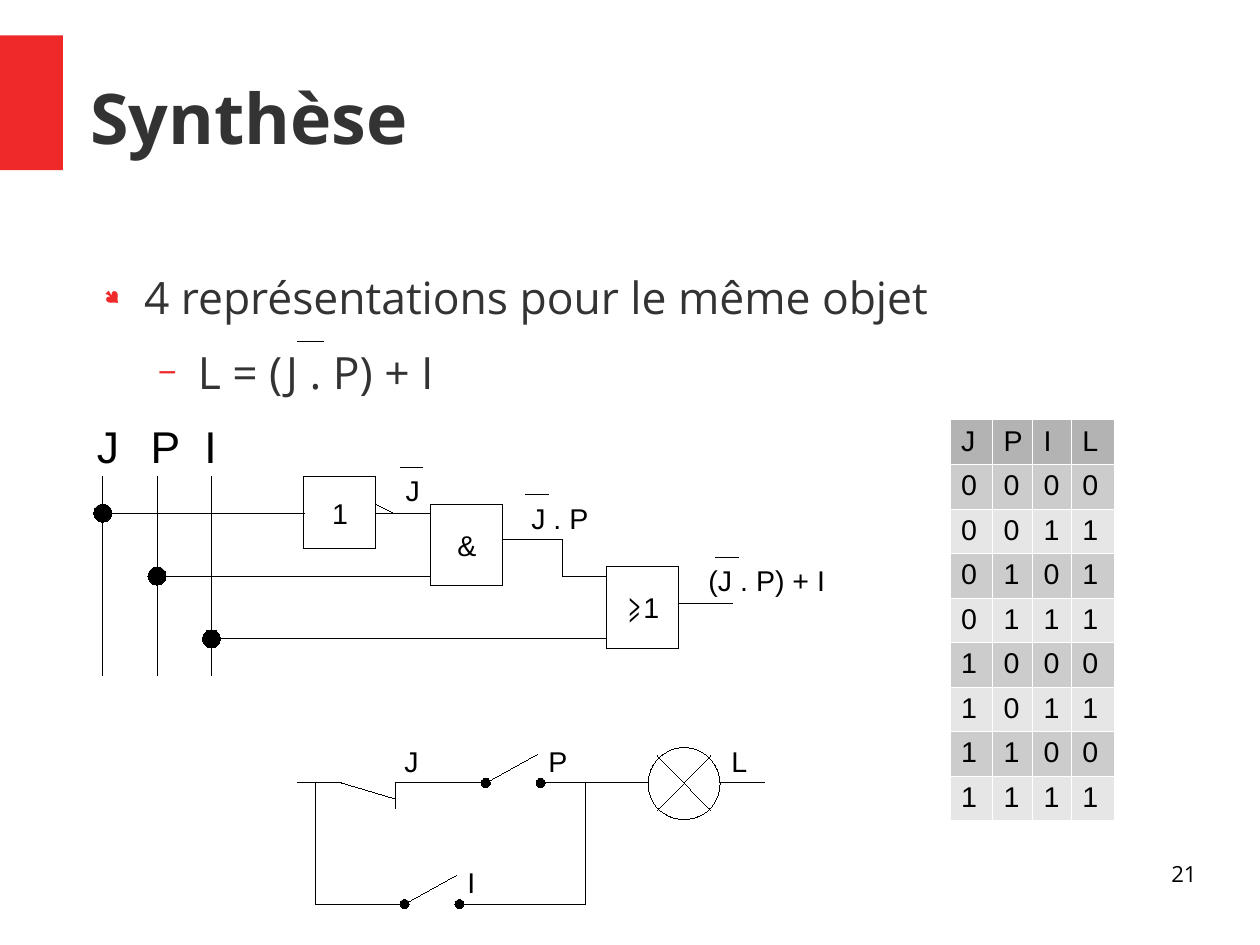
import pptx
import pptx.util
import pptx.dml.color
import pptx.enum.shapes
import pptx.enum.text
import pptx.oxml
import pptx.oxml.ns
import lxml.etree as etree

Inches = pptx.util.Inches
Pt = pptx.util.Pt
SHAPE = pptx.enum.shapes.MSO_SHAPE
ALIGN = pptx.enum.text.PP_ALIGN
ANCHOR = pptx.enum.text.MSO_ANCHOR
qn = pptx.oxml.ns.qn
BLACK, RED, GREY, WHITE = "000000", "EF2929", "333333", "FFFFFF"
HEAD, ODD, EVEN = "B3B3B3", "CCCCCC", "E6E6E6"


def paint(part, color):
    """Give a fill, line or font its colour."""
    fill = part if hasattr(part, "solid") else part.fill
    fill.solid()
    fill.fore_color.rgb = pptx.dml.color.RGBColor.from_string(color)


def hair(item, color):
    """Draw the line of a shape or connector as a hairline."""
    paint(item.line, color)
    item._element.spPr.find(qn("a:ln")).set("w", "0")


def write(para, text, size, font="Arial", color=BLACK, bold=False):
    run = para.add_run()
    run.text = text
    run.font.name = font
    run.font.size = Pt(size)
    run.font.bold = bold
    paint(run.font, color)


def inset(frame, side=0, top=0, low=0):
    frame.margin_left = frame.margin_right = Inches(side)
    frame.margin_top = Inches(top)
    frame.margin_bottom = Inches(low)


def label(slide, x, y, w, text, size=18, h=0.38):
    frame = slide.shapes.add_textbox(*map(Inches, (x, y, w, h))).text_frame
    frame.word_wrap = False
    inset(frame, 0.1, 0.05, 0.05)
    write(frame.paragraphs[0], text, size)


def wire(slide, x, y, *points):
    """Join points, given from the corner x, y, by straight lines."""
    for (ax, ay), (bx, by) in zip(points, points[1:]):
        line = slide.shapes.add_connector(
            pptx.enum.shapes.MSO_CONNECTOR.STRAIGHT,
            Inches(x + ax), Inches(y + ay), Inches(x + bx), Inches(y + by))
        hair(line, BLACK)
        etree.SubElement(line._element.spPr, qn("a:effectLst"))


def shape(slide, kind, x, y, w, h, fill=None):
    item = slide.shapes.add_shape(kind, *map(Inches, (x, y, w, h)))
    item.shadow.inherit = False
    hair(item, fill or BLACK)
    if fill:
        paint(item.fill, fill)
    else:
        item.fill.background()
    return item


def dot(slide, x, y, size):
    shape(slide, SHAPE.OVAL, x - size / 2, y - size / 2, size, size, BLACK)


def gate(slide, x, y, h, sign):
    frame = shape(slide, SHAPE.RECTANGLE, x, y, 0.63, h).text_frame
    frame.word_wrap = False
    frame.vertical_anchor = ANCHOR.MIDDLE
    frame.paragraphs[0].alignment = ALIGN.CENTER
    write(frame.paragraphs[0], sign, 18)


def title(slide, x, y, w, h):
    bar = shape(slide, SHAPE.RECTANGLE, 0, y - 0.02, 0.55, 1.18, RED)
    bar.line.fill.background()
    head = slide.shapes.title
    head.left, head.top, head.width, head.height = map(Inches, (x, y, w, h))
    frame = head.text_frame
    inset(frame)
    frame.vertical_anchor = ANCHOR.MIDDLE
    frame.paragraphs[0].alignment = ALIGN.LEFT
    write(frame.paragraphs[0], "Synthèse", 44, "Open Sans", GREY, True)


def bullet(para, left, sign, size, font):
    props = para._p.get_or_add_pPr()
    props.set("marL", str(Inches(left)))
    props.set("indent", str(Inches(-0.35)))
    color = etree.SubElement(props, qn("a:buClr"))
    etree.SubElement(color, qn("a:srgbClr"), val=RED)
    etree.SubElement(props, qn("a:buSzPct"), val=str(size * 1000))
    etree.SubElement(props, qn("a:buFont"), typeface=font)
    etree.SubElement(props, qn("a:buChar"), char=sign)


def points(slide, x, y, w, h):
    frame = slide.shapes.add_textbox(*map(Inches, (x, y, w, h))).text_frame
    frame.word_wrap = True
    inset(frame)
    first, second = frame.paragraphs[0], frame.add_paragraph()
    first.space_after, second.space_after = Pt(14.1), Pt(11.3)
    second.level = 1
    bullet(first, 0.47, "●", 45, "Wingdings")
    bullet(second, 0.94, "−", 75, "Open Sans")
    write(first, "4 représentations pour le même objet", 28, "Open Sans", GREY)
    write(second, "L = (J . P) + I", 28, "Open Sans", GREY)
    wire(slide, x, y, (1.81, 0.63), (2.04, 0.63))


def truth(slide, x, y, w, h):
    """Table of L for every state of J, P and I."""
    rows = ["JPIL"]
    for n in range(8):
        j, p, i = n >> 2, n >> 1 & 1, n & 1
        rows.append(f"{j}{p}{i}{int(not j and p or i)}")
    table = slide.shapes.add_table(
        len(rows), 4, *map(Inches, (x, y, w, h))).table
    for col, wide in zip(table.columns, (0.37, 0.35, 0.34, 0.38)):
        col.width = Inches(wide)
    for r, row in enumerate(rows):
        table.rows[r].height = Inches(h / len(rows))
        for c, text in enumerate(row):
            cell = table.cell(r, c)
            inset(cell, 0.1, 0.05, 0.03)
            write(cell.text_frame.paragraphs[0], text, 18)
            props = cell._tc.get_or_add_tcPr()
            for side in ("lnL", "lnR", "lnT", "lnB"):
                edge = etree.SubElement(props, qn("a:" + side), w="720")
                fill = etree.SubElement(edge, qn("a:solidFill"))
                etree.SubElement(fill, qn("a:srgbClr"), val=WHITE)
            paint(cell.fill, HEAD if r == 0 else ODD if r % 2 else EVEN)


def logic(slide, x, y):
    """Gate diagram: input rails, three gates and their outputs."""
    for n, (name, end) in enumerate(zip("JPI", (1.91, 3.02, 4.56))):
        rail, tap = 0.15 + 0.475 * n, 0.87 + 0.55 * n
        label(slide, x + 0.47 * n, y, 0.39, name, 28, 0.55)
        wire(slide, x, y, (rail, 0.55), (rail, 2.29))
        wire(slide, x, y, (rail, tap), (end, tap))
        dot(slide, x + rail, y + tap, 0.16)
    for left, top, h, sign in ((1.91, 0.55, 0.63, "1"),
                               (3.02, 0.79, 0.71, "&"),
                               (4.56, 1.34, 0.71, "⩾1")):
        gate(slide, x + left, y + top, h, sign)
    wire(slide, x, y, (2.54, 0.87), (3.02, 0.87))
    wire(slide, x, y, (2.54, 0.79), (2.7, 0.87))
    wire(slide, x, y, (3.65, 1.1), (4.17, 1.1), (4.17, 1.42), (4.56, 1.42))
    wire(slide, x, y, (5.19, 1.66), (5.66, 1.66))
    for left, top, w, text, bar in ((2.7, 0.47, 0.32, "J", 2.75),
                                    (3.8, 0.71, 0.7, "J . P", 3.85),
                                    (5.35, 1.26, 1.22, "(J . P) + I", 5.51)):
        label(slide, x + left, y + top, w, text)
        wire(slide, x, y, (bar, top), (bar + 0.2, top))


def switch(slide, x, y, w, name):
    """Open contact with its name."""
    wire(slide, x, y, (0, 0), (0.45, -0.25))
    dot(slide, x, y, 0.08)
    dot(slide, x + 0.48, y, 0.08)
    label(slide, x + 0.45, y - 0.39, w, name)


def relay(slide, x, y):
    """Contact diagram: J and P in series, I beside them, then lamp L."""
    top, low = 0.39, 1.45
    wire(slide, x, y, (0, top), (0.39, top), (0.86, 0.53))
    wire(slide, x, y, (0.86, 0.61), (0.86, top), (1.65, top))
    wire(slide, x, y, (2.12, top), (3.07, top))
    wire(slide, x, y, (0.16, top), (0.16, low), (0.94, low))
    wire(slide, x, y, (1.42, low), (2.52, low), (2.52, top))
    label(slide, x + 0.84, y, 0.32, "J")
    switch(slide, x + 1.65, y + top, 0.36, "P")
    switch(slide, x + 0.94, y + low, 0.27, "I")
    shape(slide, SHAPE.OVAL, x + 3.07, y + 0.08, 0.63, 0.63)
    wire(slide, x, y, (3.15, 0.63), (3.62, 0.15))
    wire(slide, x, y, (3.15, 0.15), (3.62, 0.63))
    wire(slide, x, y, (3.7, top), (4.09, top))
    label(slide, x + 3.7, y, 0.55, "L")


def number(slide, x, y, w, h):
    frame = slide.shapes.add_textbox(*map(Inches, (x, y, w, h))).text_frame
    frame.word_wrap = True
    inset(frame)
    frame.paragraphs[0].alignment = ALIGN.RIGHT
    write(frame.paragraphs[0], "21", 14, "Open Sans")


def main():
    deck = pptx.Presentation()
    deck.slide_width = pptx.util.Cm(28)
    deck.slide_height = pptx.util.Cm(21)
    slide = deck.slides.add_slide(deck.slide_layouts[5])
    title(slide, 0.79, 0.33, 9.68, 1.38)
    points(slide, 0.79, 2.36, 9.45, 4.8)
    truth(slide, 8.31, 3.67, 1.44, 3.51)
    logic(slide, 0.75, 3.62)
    relay(slide, 2.6, 6.46)
    number(slide, 7.9, 7.53, 2.57, 0.57)
    deck.save("out.pptx")


if __name__ == "__main__":
    main()
